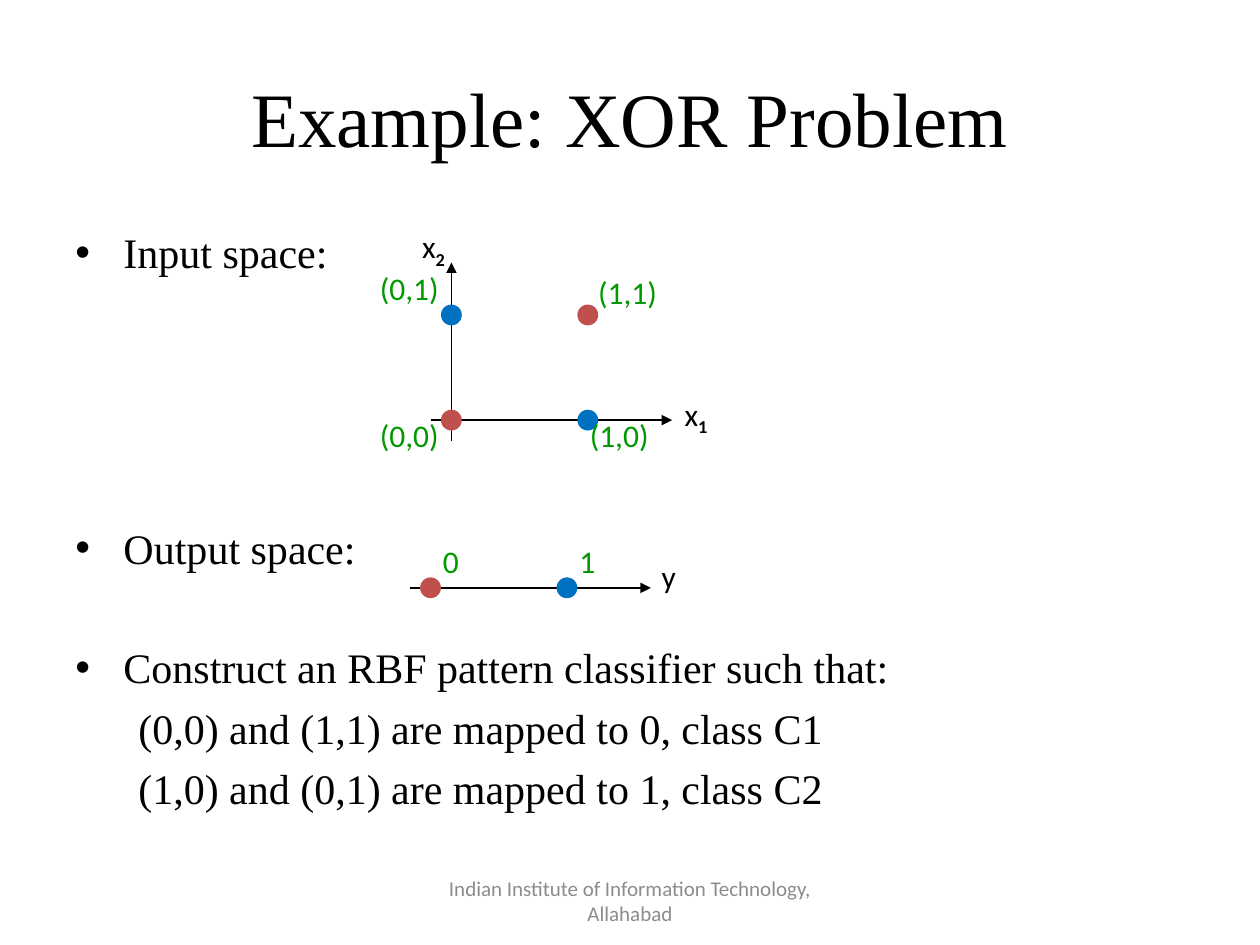
from dataclasses import dataclass

from lxml.etree import SubElement
from pptx import Presentation
from pptx.dml.color import RGBColor
from pptx.enum.shapes import MSO_CONNECTOR as Connector, MSO_SHAPE as Shape
from pptx.enum.text import MSO_ANCHOR as Anchor, MSO_AUTO_SIZE as AutoSize, PP_ALIGN as Align
from pptx.oxml.ns import qn
from pptx.util import Cm, Pt


@dataclass(frozen=True)
class Theme:
    serif: str = "Times New Roman"
    sans: str = "Calibri"
    ink: str = "000000"
    footer: str = "8C8C8C"
    value: str = "009900"
    class_1: str = "C0504D"
    class_2: str = "0070C0"
    title_size: int = 44
    body_size: int = 24
    label_size: int = 18
    footer_size: int = 12


@dataclass(frozen=True)
class Axis:
    start: tuple[float, float]
    end: tuple[float, float]


@dataclass(frozen=True)
class Sample:
    """A dot centred at (x, y) with its label box at (label_x, label_y)."""
    label: str
    x: float
    y: float
    colour: str
    label_x: float
    label_y: float
    label_width: float


@dataclass(frozen=True)
class AxisName:
    base: str
    subscript: str
    left: float
    top: float
    width: float


@dataclass(frozen=True)
class Line:
    text: str
    space_before: float
    bulleted: bool


THEME = Theme()
DOT = 0.42
LABEL_HEIGHT = 1.02
X0, X1 = 9.1, 11.85
Y0, Y1 = 8.47, 6.35
OUT_0, OUT_1, OUT_Y = 8.68, 11.43, 11.85
GAP = 5.9
PITCH = 33.5

AXES = [
    Axis((X0, 8.89), (X0, 5.29)),
    Axis((8.68, Y0), (13.55, Y0)),
    Axis((8.26, OUT_Y), (13.12, OUT_Y)),
]
SAMPLES = [
    Sample("(1,1)", X1, Y1, THEME.class_1, 11.81, 5.38, 1.83),
    Sample("(0,0)", X0, Y0, THEME.class_1, 7.41, 8.26, 1.83),
    Sample("(0,1)", X0, Y1, THEME.class_2, 7.41, 5.29, 1.83),
    Sample("(1,0)", X1, Y0, THEME.class_2, 11.64, 8.26, 1.83),
    Sample("0", OUT_0, OUT_Y, THEME.class_1, 8.68, 10.8, 0.86),
    Sample("1", OUT_1, OUT_Y, THEME.class_2, 11.43, 10.8, 0.86),
]
AXIS_NAMES = [
    AxisName("x", "1", 13.55, 7.83, 1.07),
    AxisName("x", "2", 8.26, 4.45, 1.07),
    AxisName("y", "", 13.09, 11.1, 0.84),
]
BODY = [
    Line("Input space:", GAP, True),
    Line("Output space:", GAP + 4 * PITCH, True),
    Line("Construct an RBF pattern classifier such that:", GAP + PITCH, True),
    Line("(0,0) and (1,1) are mapped to 0, class C1", GAP, False),
    Line("(1,0) and (0,1) are mapped to 1, class C2", GAP, False),
]


def add_run(paragraph, text: str, *, size: float, font: str = THEME.sans,
            colour: str = THEME.ink, bold: bool = False, baseline: int = 0):
    run = paragraph.add_run()
    run.text = text
    run.font.size = Pt(size)
    run.font.name = font
    run.font.bold = bold
    run.font.color.rgb = RGBColor.from_string(colour)
    if baseline:
        run.font._element.set("baseline", str(baseline * 1000))


def add_text(slide, left: float, top: float, width: float, height: float, text: str = "", *,
             align=Align.LEFT, anchor=Anchor.TOP, wrap: bool = True, **run_format):
    """Add a text box and return its first paragraph and its frame."""
    frame = slide.shapes.add_textbox(Cm(left), Cm(top), Cm(width), Cm(height)).text_frame
    frame.word_wrap = wrap
    frame.auto_size = AutoSize.NONE if wrap else AutoSize.SHAPE_TO_FIT_TEXT
    frame.vertical_anchor = anchor
    paragraph = frame.paragraphs[0]
    paragraph.alignment = align
    if text:
        add_run(paragraph, text, **run_format)
    return paragraph, frame


def add_axis(slide, axis: Axis) -> None:
    arrow = slide.shapes.add_connector(
        Connector.STRAIGHT, *(Cm(value) for value in axis.start + axis.end))
    arrow.line.color.rgb = RGBColor.from_string(THEME.ink)
    arrow.line.width = Pt(1)
    SubElement(arrow.line._get_or_add_ln(), qn("a:tailEnd"), type="triangle")
    SubElement(arrow._element.spPr, qn("a:effectLst"))


def add_dot(slide, sample: Sample) -> None:
    dot = slide.shapes.add_shape(Shape.OVAL, Cm(sample.x - DOT / 2), Cm(sample.y - DOT / 2),
                                 Cm(DOT), Cm(DOT))
    dot.shadow.inherit = False
    dot.fill.solid()
    dot.fill.fore_color.rgb = RGBColor.from_string(sample.colour)
    dot.line.fill.background()


def add_axis_name(slide, name: AxisName) -> None:
    paragraph, _ = add_text(slide, name.left, name.top, name.width, LABEL_HEIGHT, name.base,
                            wrap=False, size=THEME.label_size)
    if name.subscript:
        add_run(paragraph, name.subscript, size=THEME.label_size, bold=True, baseline=-25)


def set_indent(paragraph, bulleted: bool) -> None:
    left, hanging = (0.97, -0.97) if bulleted else (2.06, -0.79)
    properties = paragraph._p.get_or_add_pPr()
    properties.set("marL", str(Cm(left)))
    properties.set("indent", str(Cm(hanging)))
    if bulleted:
        SubElement(properties, qn("a:buFont"), typeface="Arial")
        SubElement(properties, qn("a:buChar"), char="•")
    else:
        SubElement(properties, qn("a:buNone"))


def add_body(slide, lines: list[Line]) -> None:
    paragraph, frame = add_text(slide, 1.27, 4.45, 22.86, 12.57)
    for index, line in enumerate(lines):
        if index:
            paragraph = frame.add_paragraph()
        paragraph.space_before = Pt(line.space_before)
        set_indent(paragraph, line.bulleted)
        add_run(paragraph, line.text, size=THEME.body_size, font=THEME.serif)


def main() -> None:
    deck = Presentation()
    deck.slide_width, deck.slide_height = Cm(25.4), Cm(19.05)
    slide = deck.slides.add_slide(deck.slide_layouts[6])

    add_text(slide, 1.27, 0.76, 22.86, 3.18, "Example: XOR Problem", align=Align.CENTER,
             anchor=Anchor.MIDDLE, size=THEME.title_size, font=THEME.serif)
    add_text(slide, 8.68, 17.65, 8.04, 1.02,
             "Indian Institute of Information Technology, Allahabad", align=Align.CENTER,
             anchor=Anchor.MIDDLE, size=THEME.footer_size, colour=THEME.footer)
    add_body(slide, BODY)
    for axis in AXES:
        add_axis(slide, axis)
    for sample in SAMPLES:
        add_dot(slide, sample)
        add_text(slide, sample.label_x, sample.label_y, sample.label_width, LABEL_HEIGHT,
                 sample.label, wrap=False, size=THEME.label_size, colour=THEME.value)
    for name in AXIS_NAMES:
        add_axis_name(slide, name)
    deck.save("out.pptx")


if __name__ == "__main__":
    main()
